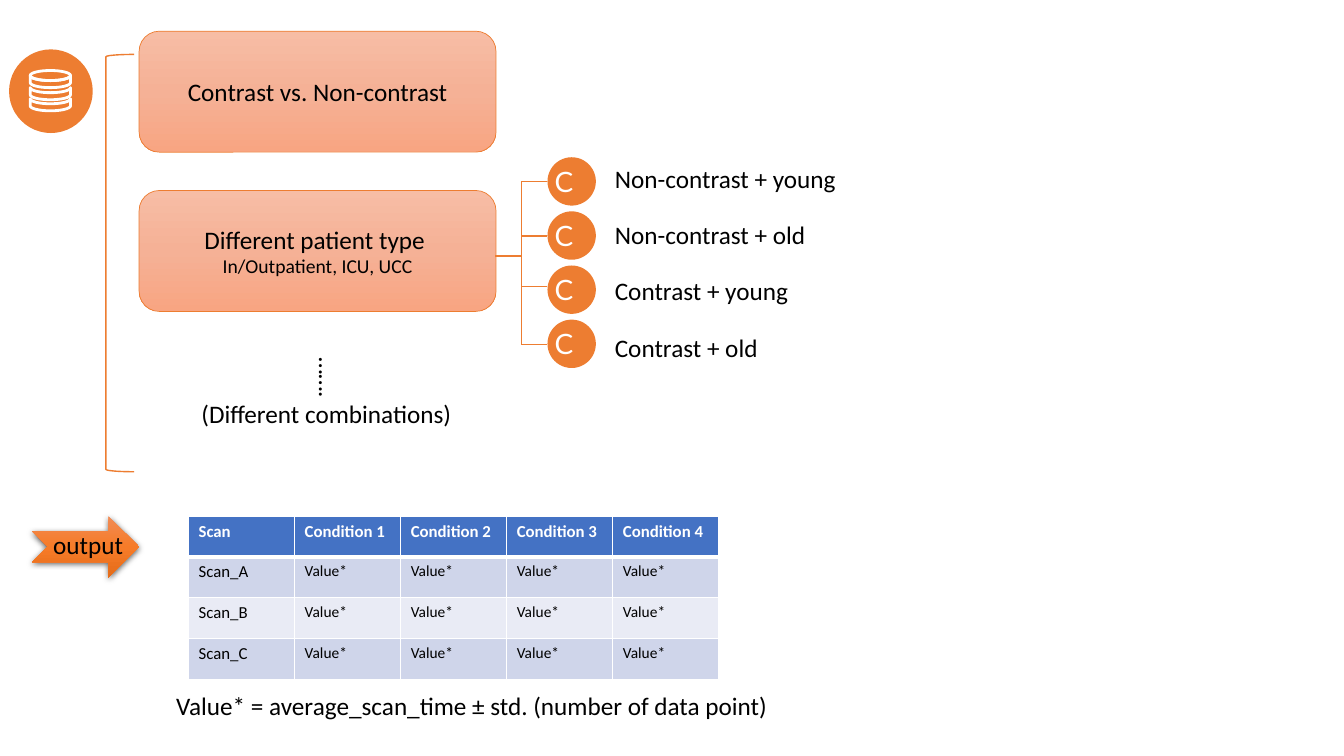
from copy import deepcopy
from math import cos, pi, sin

from lxml import etree
from pptx import Presentation
from pptx.dml.color import RGBColor
from pptx.enum.shapes import MSO_CONNECTOR, MSO_SHAPE
from pptx.enum.text import MSO_ANCHOR, MSO_AUTO_SIZE, PP_ALIGN
from pptx.oxml import parse_xml
from pptx.oxml.ns import nsdecls, qn
from pptx.util import Inches, Pt

LEFT, CENTER = PP_ALIGN.LEFT, PP_ALIGN.CENTER
TOP, MIDDLE = MSO_ANCHOR.TOP, MSO_ANCHOR.MIDDLE
FIT = MSO_AUTO_SIZE.SHAPE_TO_FIT_TEXT
OVAL, ROUNDED = MSO_SHAPE.OVAL, MSO_SHAPE.ROUNDED_RECTANGLE
ARROW, BRACKET = MSO_SHAPE.NOTCHED_RIGHT_ARROW, MSO_SHAPE.LEFT_BRACKET
STRAIGHT = MSO_CONNECTOR.STRAIGHT

THEME = {
    "orange": "ED7D31", "white": "FFFFFF", "black": "000000",
    "box": ["F7BDA5", "F5B196", "F8A582"],
    "arrow": ["F18C57", "F67B28", "E56C19"],
    "header": "4472C4", "bands": ["CFD5EA", "E9EBF5"],
    "font": "Calibri", "badge_font": "Lato",
    "body": 18, "badge": 20, "note": 14, "cell": 12, "value": 11,
}


def write(tf, text, size=THEME["body"], color=THEME["black"], font=THEME["font"],
          bold=False, align=LEFT, new=False):
    p = tf.add_paragraph() if new else tf.paragraphs[0]
    p.alignment = align
    r = p.add_run()
    r.text = text
    r.font.size, r.font.name, r.font.bold = Pt(size), font, bold
    r.font.color.rgb = RGBColor.from_string(color)


def paint(sp, fill=None, line=None, width=1):
    """Fill with a colour, a list of three gradient colours, or nothing."""
    sp.shadow.inherit = False
    if isinstance(fill, list):
        sp.fill.gradient()
        sp.fill.gradient_angle = 270
        stops = sp.element.spPr.find(".//" + qn("a:gsLst"))
        stops.insert(1, deepcopy(stops[0]))
        for stop, position, color in zip(sp.fill.gradient_stops, (0, 0.5, 1), fill):
            stop.position = position
            stop.color.rgb = RGBColor.from_string(color)
    elif fill:
        sp.fill.solid()
        sp.fill.fore_color.rgb = RGBColor.from_string(fill)
    else:
        sp.fill.background()
    if line:
        sp.line.color.rgb = RGBColor.from_string(line)
        sp.line.width = Pt(width)
    else:
        sp.line.fill.background()


prs = Presentation()
prs.slide_width, prs.slide_height = Inches(13.33), Inches(7.5)
s = prs.slides.add_slide(prs.slide_layouts[6])

# Database icon: a lid and three stacked discs on a circle
sp = s.shapes.add_shape(OVAL, Inches(0.09), Inches(0.49), Inches(0.83), Inches(0.83))
paint(sp, THEME["orange"])
cx, rx, ry, depth, steps = 0.5, 0.2, 0.05, 0.07, 16
half = [(cx - rx * cos(pi * i / steps), ry * sin(pi * i / steps)) for i in range(steps + 1)]
outlines = [[(x, 0.75 + y) for x, y in half] + [(x, 0.75 - y) for x, y in reversed(half)]]
for top in (0.75, 0.87, 0.98):
    outlines.append([(x, top + depth + y) for x, y in half]
                    + [(x, top + y) for x, y in reversed(half)])
outlines = [[(Inches(x), Inches(y)) for x, y in outline] for outline in outlines]
builder = s.shapes.build_freeform(*outlines[0][0])
for i, outline in enumerate(outlines):
    if i:
        builder.move_to(*outline[0])
    builder.add_line_segments(outline[1:], close=True)
paint(builder.convert_to_shape(), None, THEME["white"], 2)

# Grouping boxes
boxes = [(0.31, ["Contrast vs. Non-contrast"]),
         (1.89, ["Different patient type ", "In/Outpatient, ICU, UCC"])]
for y, lines in boxes:
    sp = s.shapes.add_shape(ROUNDED, Inches(1.38), Inches(y), Inches(3.54), Inches(1.2))
    paint(sp, THEME["box"], THEME["orange"], 0.5)
    sp.text_frame.vertical_anchor = MIDDLE
    for i, text in enumerate(lines):
        write(sp.text_frame, text, THEME["note"] if i else THEME["body"],
              align=CENTER, new=i > 0)

# Condition badges
for i in range(4):
    sp = s.shapes.add_shape(OVAL, Inches(5.43), Inches(1.56 + 0.537 * i),
                            Inches(0.48), Inches(0.48))
    paint(sp, THEME["orange"])
    tf = sp.text_frame
    tf.margin_left = tf.margin_top = tf.margin_right = tf.margin_bottom = 0
    tf.vertical_anchor = TOP
    write(tf, f"C{i + 1}", THEME["badge"], THEME["white"], THEME["badge_font"])

# Output arrow with a soft shadow
sp = s.shapes.add_shape(ARROW, Inches(0.32), Inches(5.12), Inches(1.06), Inches(0.61))
paint(sp, THEME["arrow"])
sp.element.spPr.find(qn("a:effectLst")).append(parse_xml(
    f'<a:outerShdw {nsdecls("a")} blurRad="{Pt(4.5)}" dist="{Pt(1.5)}" dir="5400000" '
    f'algn="ctr" rotWithShape="0"><a:srgbClr val="{THEME["black"]}">'
    '<a:alpha val="63000"/></a:srgbClr></a:outerShdw>'))

# Tree from the patient box to the badges
trunk = 5.17
links = [(trunk, 1.8, trunk, 3.42), (4.91, 2.54, trunk, 2.54)]
links += [(trunk, y, 5.43, y) for y in (1.8, 2.34, 2.84, 3.42)]
for link in links:
    cn = s.shapes.add_connector(STRAIGHT, *[Inches(v) for v in link])
    cn.line.color.rgb = RGBColor.from_string(THEME["orange"])
    cn.line.width = Pt(1)
    etree.SubElement(cn.element.spPr, qn("a:effectLst"))

# Bracket around the groupings
sp = s.shapes.add_shape(BRACKET, Inches(1.05), Inches(0.54), Inches(0.28), Inches(4.14))
paint(sp, None, THEME["orange"])

# Labels: left, top, width, rotation, text
labels = [
    (6, 1.57, 2.42, 0, "Non-contrast + young"),
    (6, 2.13, 2.11, 0, "Non-contrast + old"),
    (6, 2.68, 1.94, 0, "Contrast + young"),
    (6, 3.25, 1.63, 0, "Contrast + old"),
    (0.43, 5.2, 0.9, 0, "output"),
    (2.96, 3.55, 0.61, 90, "……."),
    (1.9, 3.9, 2.71, 0, "(Different combinations)"),
    (1.65, 6.8, 6.14, 0, "Value* = average_scan_time ± std. (number of data point)"),
]
for x, y, w, rotation, text in labels:
    sp = s.shapes.add_textbox(Inches(x), Inches(y), Inches(w), Inches(0.4))
    sp.rotation = rotation
    sp.text_frame.word_wrap = False
    sp.text_frame.auto_size = FIT
    write(sp.text_frame, text)

# Scan table
rows = [["Scan"] + [f"Condition {i}" for i in range(1, 5)]]
rows += [[f"Scan_{letter}"] + ["Value*"] * 4 for letter in "ABC"]
table = s.shapes.add_table(4, 5, Inches(1.87), Inches(5.12), Inches(5.26), Inches(1.62)).table
for i, row in enumerate(rows):
    for j, text in enumerate(row):
        cell = table.cell(i, j)
        tcPr = cell._tc.get_or_add_tcPr()
        for side in "LRTB":
            thick = (i, side) in ((0, "B"), (1, "T"))
            tcPr.append(parse_xml(
                f'<a:ln{side} {nsdecls("a")} w="{Pt(3 if thick else 1)}"><a:solidFill>'
                f'<a:srgbClr val="{THEME["white"]}"/></a:solidFill></a:ln{side}>'))
        cell.fill.solid()
        fill = THEME["bands"][(i - 1) % 2] if i else THEME["header"]
        cell.fill.fore_color.rgb = RGBColor.from_string(fill)
        write(cell.text_frame, text, THEME["value"] if i and j else THEME["cell"],
              THEME["black"] if i else THEME["white"], bold=i == 0)

prs.save("out.pptx")
